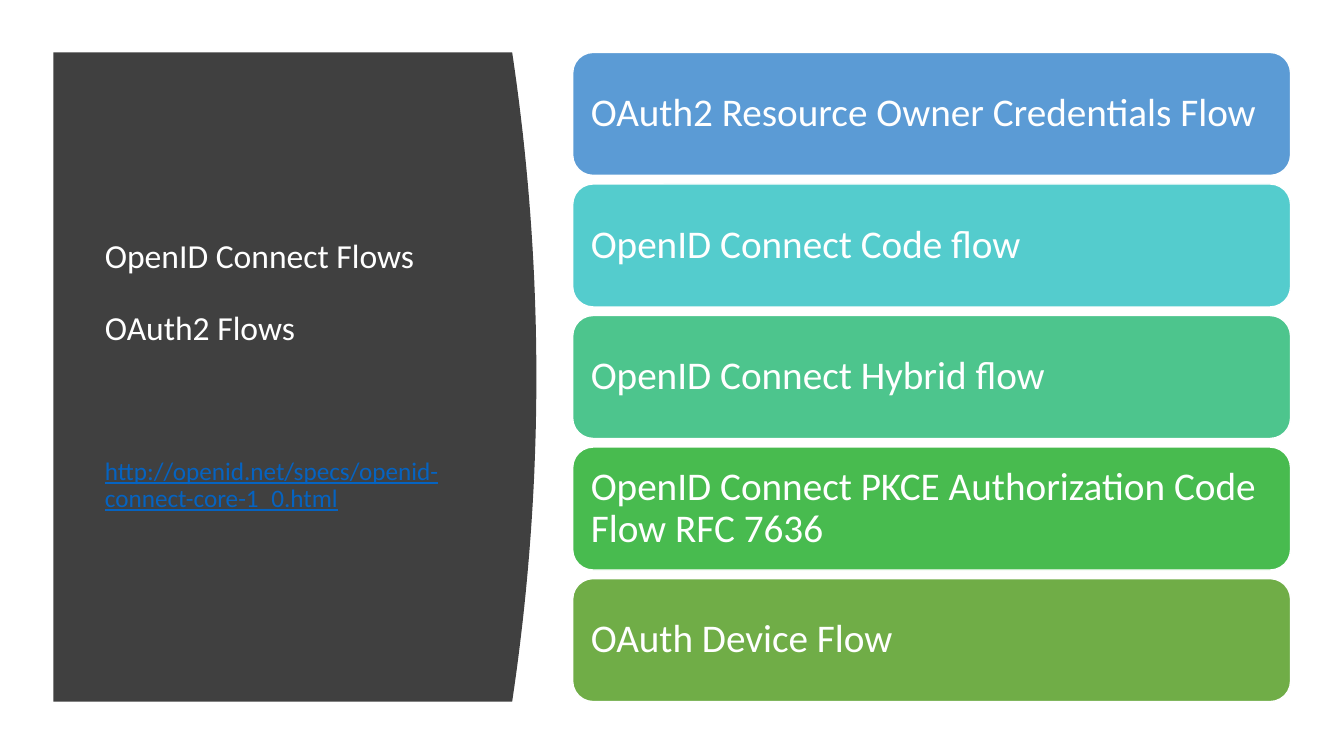
from pptx import Presentation
from pptx.dml.color import RGBColor
from pptx.enum.shapes import MSO_SHAPE
from pptx.enum.text import MSO_ANCHOR, MSO_AUTO_SIZE, PP_ALIGN
from pptx.util import Inches, Pt

WHITE = RGBColor(0xFF, 0xFF, 0xFF)
DARK_GRAY = RGBColor(0x40, 0x40, 0x40)
LINK_BLUE = RGBColor(0x05, 0x63, 0xC1)
BLUE = RGBColor(0x5B, 0x9B, 0xD5)
TURQUOISE = RGBColor(0x54, 0xCC, 0xCD)
MINT = RGBColor(0x4D, 0xC5, 0x8D)
GREEN = RGBColor(0x48, 0xBB, 0x4F)
OLIVE = RGBColor(0x70, 0xAD, 0x47)


def style_paragraph(paragraph, size, color):
    paragraph.alignment = PP_ALIGN.LEFT
    paragraph.line_spacing = 0.9
    font = paragraph.runs[0].font
    font.name = "Calibri"
    font.size = Pt(size)
    font.color.rgb = color


deck = Presentation()
deck.slide_width = Inches(13.33)
deck.slide_height = Inches(7.5)
page = deck.slides.add_slide(deck.slide_layouts[5])

# Dark panel whose right edge bulges along a parabola
LEFT, TOP, BOTTOM = 0.53, 0.52, 6.96
EDGE, BULGE, STEPS = 5.08, 0.24, 40
curve = []
for step in range(STEPS + 1):
    share = step / STEPS
    x = EDGE + BULGE * (1 - (2 * share - 1) ** 2)
    y = TOP + share * (BOTTOM - TOP)
    curve.append((Inches(x), Inches(y)))
builder = page.shapes.build_freeform(Inches(LEFT), Inches(TOP), scale=1.0)
builder.add_line_segments(curve + [(Inches(LEFT), Inches(BOTTOM))], close=True)
panel = builder.convert_to_shape()
panel.shadow.inherit = False
panel.fill.solid()
panel.fill.fore_color.rgb = DARK_GRAY
panel.line.fill.background()

# Title, brought in front of the panel
title = page.shapes.title
panel._element.addnext(title._element)
title.left, title.top = Inches(0.94), Inches(1.11)
title.width, title.height = Inches(3.74), Inches(5.24)
frame = title.text_frame
frame.word_wrap = True
frame.auto_size = MSO_AUTO_SIZE.NONE
frame.vertical_anchor = MSO_ANCHOR.MIDDLE
TITLE_LINES = [
    ("OpenID Connect Flows", 24, WHITE, 0),
    ("OAuth2 Flows", 24, WHITE, 26),
    ("http://openid.net/specs/openid-connect-core-1_0.html", 18, LINK_BLUE, 79),
]
frame.text = "\n".join(line[0] for line in TITLE_LINES)
for paragraph, (_, size, color, gap) in zip(frame.paragraphs, TITLE_LINES):
    style_paragraph(paragraph, size, color)
    paragraph.space_before = Pt(gap)
frame.paragraphs[-1].runs[0].font.underline = True

# Flow cards
FLOWS = [
    ("OAuth2 Resource Owner Credentials Flow", BLUE),
    ("OpenID Connect Code flow", TURQUOISE),
    ("OpenID Connect Hybrid flow", MINT),
    ("OpenID Connect PKCE Authorization Code Flow RFC 7636", GREEN),
    ("OAuth Device Flow", OLIVE),
]
CARD_HEIGHT = 1.22
CARD_PITCH = (BOTTOM - TOP - CARD_HEIGHT) / (len(FLOWS) - 1)
for index, (flow, color) in enumerate(FLOWS):
    card = page.shapes.add_shape(
        MSO_SHAPE.ROUNDED_RECTANGLE, Inches(5.68), Inches(TOP + index * CARD_PITCH),
        Inches(7.12), Inches(CARD_HEIGHT))
    card.shadow.inherit = False
    card.fill.solid()
    card.fill.fore_color.rgb = color
    card.line.color.rgb = WHITE
    card.line.width = Pt(1)
    frame = card.text_frame
    frame.word_wrap = True
    frame.vertical_anchor = MSO_ANCHOR.MIDDLE
    # The rounded corners add 0.06 inch to each inset
    frame.margin_left = frame.margin_right = Inches(0.12)
    frame.margin_top = frame.margin_bottom = Inches(0.06)
    frame.text = flow
    style_paragraph(frame.paragraphs[0], 28, WHITE)

deck.save("out.pptx")
